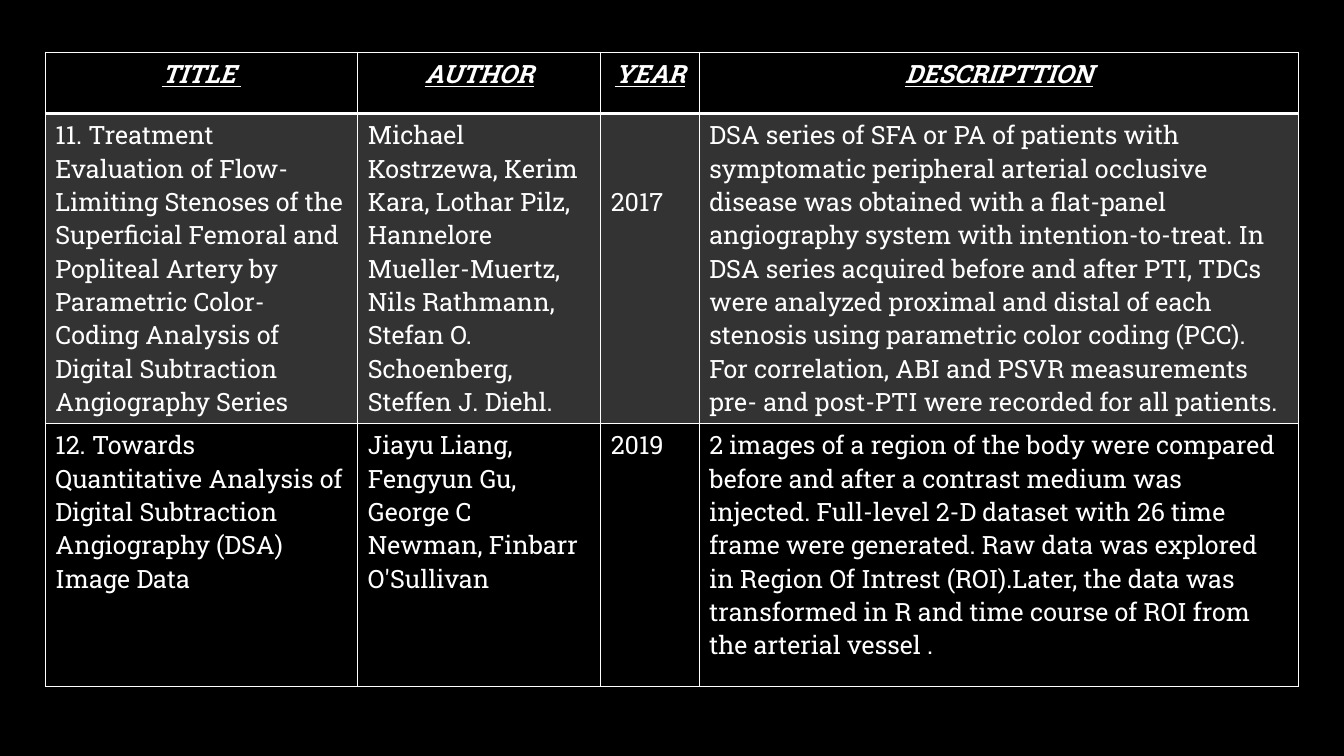
from dataclasses import dataclass
from lxml.etree import SubElement
from pptx import Presentation
from pptx.dml.color import RGBColor
from pptx.enum.text import PP_ALIGN
from pptx.oxml import parse_xml
from pptx.oxml.ns import nsdecls, qn
from pptx.util import Pt

# Content
HEADS = ["TITLE ", "AUTHOR", "YEAR", "DESCRIPTTION"]
PAPERS = [
    ("11. Treatment Evaluation of Flow-Limiting Stenoses of the Superficial "
     "Femoral and Popliteal Artery by Parametric Color-Coding Analysis of "
     "Digital Subtraction Angiography Series",
     "Michael Kostrzewa, Kerim Kara, Lothar Pilz, Hannelore Mueller-Muertz, "
     "Nils Rathmann, Stefan O. Schoenberg, Steffen J. Diehl.",
     "2017",
     "DSA series of SFA or PA of patients with symptomatic peripheral arterial "
     "occlusive disease was obtained with a flat-panel angiography system with "
     "intention-to-treat. In DSA series acquired before and after PTI, TDCs "
     "were analyzed proximal and distal of each stenosis using parametric "
     "color coding (PCC). For correlation, ABI and PSVR measurements pre- and "
     "post-PTI were recorded for all patients."),
    ("12. Towards Quantitative Analysis of Digital Subtraction Angiography "
     "(DSA) Image Data",
     "Jiayu Liang, Fengyun Gu, George C Newman, Finbarr O'Sullivan",
     "2019",
     "2 images of a region of the body were compared before and after a "
     "contrast medium was injected. Full-level 2-D dataset with 26 time frame "
     "were generated. Raw data was explored in Region Of Intrest (ROI).Later, "
     "the data was transformed in R and time course of ROI from the arterial "
     "vessel ."),
]


# Theme
@dataclass(frozen=True)
class Theme:
    back: str = "000000"
    ink: str = "FFFFFF"
    face: str = "Roboto Slab"
    size: float = 18
    line: float = 23.8
    tint: int = 20
    thin: float = 1
    thick: float = 2


LOOK = Theme()
INK = RGBColor.from_string(LOOK.ink)
BODY = {"name": LOOK.face, "size": Pt(LOOK.size),
        "bold": False, "italic": False, "underline": False}
HEAD = {**BODY, "bold": True, "italic": True, "underline": True}

# Layout, in points
LEFT, TOP = 32.4, 37.4
WIDTHS = [223.2, 173.5, 70.4, 428]
HEIGHTS = [43.7, 221.4, 187.7]


def write(cell, text, form, align):
    para = cell.text_frame.paragraphs[0]
    para.alignment = align
    run = para.add_run()
    run.text = text
    for key, value in form.items():
        setattr(run.font, key, value)
    run.font.color.rgb = INK


def paint(cell, tinted):
    if not tinted:
        cell.fill.background()
        return
    cell.fill.solid()
    cell.fill.fore_color.rgb = INK
    color = cell._tc.tcPr.find(".//" + qn("a:srgbClr"))
    SubElement(color, qn("a:alpha"), val=str(LOOK.tint * 1000))


def frame(cell, row):
    sizes = {"L": LOOK.thin, "R": LOOK.thin,
             "T": LOOK.thick if row == 1 else LOOK.thin,
             "B": LOOK.thick if row == 0 else LOOK.thin}
    for spot, (side, size) in enumerate(sizes.items()):
        cell._tc.get_or_add_tcPr().insert(spot, parse_xml(
            f'<a:ln{side} {nsdecls("a")} w="{Pt(size)}"><a:solidFill>'
            f'<a:srgbClr val="{LOOK.ink}"/></a:solidFill></a:ln{side}>'))


# Slide
deck = Presentation()
deck.slide_width, deck.slide_height = Pt(960), Pt(540)
slide = deck.slides.add_slide(deck.slide_layouts[6])
fill = slide.background.fill
fill.solid()
fill.fore_color.rgb = RGBColor.from_string(LOOK.back)

# Table
rows = [HEADS, *PAPERS]
table = slide.shapes.add_table(
    len(rows), len(HEADS), Pt(LEFT), Pt(TOP),
    Pt(sum(WIDTHS)), Pt(sum(HEIGHTS))).table
table.horz_banding = False
for col, width in zip(table.columns, WIDTHS):
    col.width = Pt(width)
for line, height in zip(table.rows, HEIGHTS):
    line.height = Pt(height)
for row, texts in enumerate(rows):
    form, align = (BODY, PP_ALIGN.LEFT) if row else (HEAD, PP_ALIGN.CENTER)
    for col, text in enumerate(texts):
        cell = table.cell(row, col)
        write(cell, text, form, align)
        paint(cell, row == 1)
        frame(cell, row)

# The first year sits two lines lower
table.cell(1, HEADS.index("YEAR")).margin_top = Pt(3.6 + 2 * LOOK.line)

deck.save("out.pptx")
